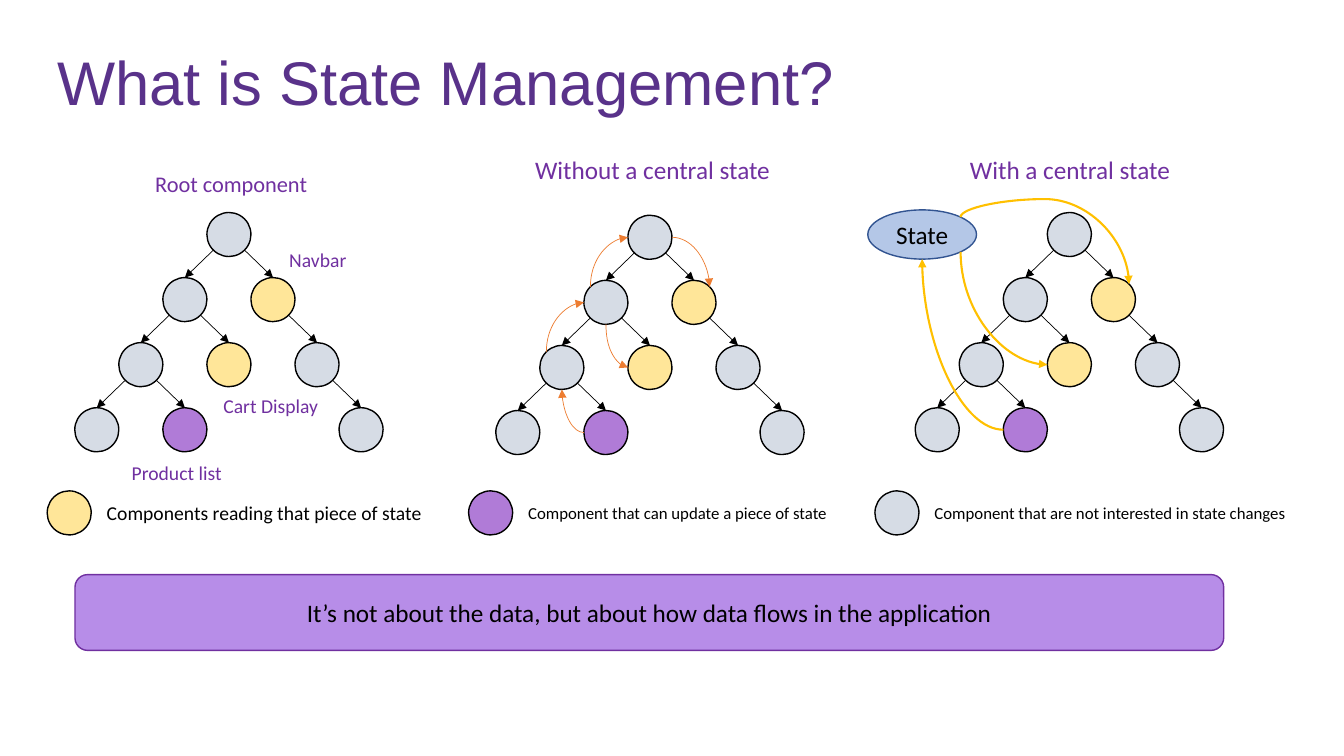
from dataclasses import dataclass

from lxml.etree import SubElement
from pptx import Presentation
from pptx.dml.color import RGBColor as Rgb
from pptx.enum.shapes import MSO_CONNECTOR as Link, MSO_SHAPE as Kind
from pptx.enum.text import MSO_ANCHOR as Anchor, MSO_AUTO_SIZE as Fit, PP_ALIGN as Align
from pptx.oxml.ns import qn
from pptx.util import Cm, Pt


@dataclass(frozen=True)
class Theme:
    title: str = "59328A"
    label: str = "7030A0"
    ink: str = "000000"
    idle: str = "D6DCE5"
    read: str = "FFE699"
    edit: str = "B07BD7"
    store: str = "B4C7E7"
    rim: str = "325491"
    bar: str = "B78DE8"
    hop: str = "ED7D31"
    flow: str = "FFC000"
    head: str = "Arial"
    body: str = "Calibri"
    huge: int = 44
    big: int = 18
    mid: int = 16
    base: int = 14
    small: int = 12


DOT = 1.11
STEP = 1.11
DROP = 1.64
DIAG = 0.707
TOP, LEFT, BASE, RIGHT = (0, -1), (-1, 0), (0, 1), (1, 0)
TL, TR, BR = (-DIAG, -DIAG), (DIAG, -DIAG), (DIAG, DIAG)

NODES = {
    "root": (0, 0, "idle"),
    "main": (-1, 1, "idle"),
    "nav": (1, 1, "read"),
    "cart": (0, 2, "read"),
    "shop": (-2, 2, "idle"),
    "side": (2, 2, "idle"),
    "list": (-1, 3, "edit"),
    "leaf": (-3, 3, "idle"),
    "end": (3, 3, "idle"),
}
EDGES = [
    ("root", "main"), ("root", "nav"), ("nav", "side"), ("main", "cart"),
    ("main", "shop"), ("shop", "leaf"), ("shop", "list"), ("side", "end"),
]


def write(frame, text, size, color, font, align=Align.LEFT, anchor=Anchor.TOP, space=None):
    frame.vertical_anchor = anchor
    para = frame.paragraphs[0]
    para.alignment = align
    para.line_spacing = space
    run = para.add_run()
    run.text = text
    run.font.size = Pt(size)
    run.font.name = font
    run.font.color.rgb = Rgb.from_string(color)


def spot(shape, side):
    return (
        int(shape.left + shape.width * (1 + side[0]) / 2),
        int(shape.top + shape.height * (1 + side[1]) / 2),
    )


class Board:
    def __init__(self, slide, theme):
        self.slide = slide
        self.theme = theme

    def text(self, text, x, y, w, h, wrap=True, fit=True, **style):
        frame = self.slide.shapes.add_textbox(Cm(x), Cm(y), Cm(w), Cm(h)).text_frame
        frame.word_wrap = wrap
        frame.auto_size = Fit.SHAPE_TO_FIT_TEXT if fit else Fit.NONE
        write(frame, text, **{"color": self.theme.ink, "font": self.theme.body, **style})

    def shape(self, kind, x, y, w, h, fill, line, text=None):
        item = self.slide.shapes.add_shape(kind, Cm(x), Cm(y), Cm(w), Cm(h))
        item.shadow.inherit = False
        item.fill.solid()
        item.fill.fore_color.rgb = Rgb.from_string(fill)
        item.line.color.rgb = Rgb.from_string(line)
        item.line.width = Pt(1)
        if text:
            write(item.text_frame, text, self.theme.big, self.theme.ink,
                  self.theme.body, Align.CENTER, Anchor.MIDDLE)
        return item

    def dot(self, x, y, role):
        return self.shape(Kind.OVAL, x, y, DOT, DOT, getattr(self.theme, role), self.theme.ink)

    def link(self, kind, start, end, color, width):
        item = self.slide.shapes.add_connector(kind, *start, *end)
        item.line.color.rgb = Rgb.from_string(color)
        item.line.width = Pt(width)
        props = item.element.find(qn("p:spPr"))
        SubElement(props.find(qn("a:ln")), qn("a:tailEnd"), type="triangle")
        SubElement(props, qn("a:effectLst"))
        return item

    def curve(self, start, end, color, width, turn=False, bend=None):
        if turn:
            (ax, ay), (bx, by) = start, end
            mx, my, dx, dy = (ax + bx) / 2, (ay + by) / 2, bx - ax, by - ay
            start = int(mx + dy / 2), int(my - dx / 2)
            end = int(mx - dy / 2), int(my + dx / 2)
        props = self.link(Link.CURVE, start, end, color, width).element.find(qn("p:spPr"))
        if turn:
            props.find(qn("a:xfrm")).set("rot", "16200000")
        geom = props.find(qn("a:prstGeom"))
        if bend is None:
            geom.set("prst", "curvedConnector2")
        else:
            SubElement(geom.find(qn("a:avLst")), qn("a:gd"), name="adj1", fmla=f"val {bend}")

    def tree(self, x, y):
        dots = {
            name: self.dot(x + col * STEP - DOT / 2, y + row * DROP - DOT / 2, role)
            for name, (col, row, role) in NODES.items()
        }
        for top, low in EDGES:
            side = DIAG if NODES[low][0] > NODES[top][0] else -DIAG
            start, end = spot(dots[top], (side, DIAG)), spot(dots[low], TOP)
            edge = self.link(Link.STRAIGHT, start, end, self.theme.ink, 0.5)
            edge.end_connect(dots[low], 0)
        return dots


def main():
    deck = Presentation()
    deck.slide_width, deck.slide_height = Cm(33.87), Cm(19.05)
    look = Theme()
    board = Board(deck.slides.add_slide(deck.slide_layouts[6]), look)

    board.text("What is State Management?", 1.19, 0.79, 31.14, 2.74, fit=False,
               size=look.huge, color=look.title, font=look.head,
               anchor=Anchor.MIDDLE, space=0.9)
    board.shape(Kind.ROUNDED_RECTANGLE, 1.89, 14.48, 28.95, 1.91, look.bar, look.label,
                "It’s not about the data, but about how data flows in the application")

    board.tree(5.77, 5.91)
    dots = board.tree(16.38, 5.98)
    for start, out, end, into, turn in [
        ("list", LEFT, "shop", BASE, False),
        ("shop", TL, "main", LEFT, True),
        ("main", TL, "root", LEFT, True),
        ("main", BASE, "cart", LEFT, True),
        ("root", RIGHT, "nav", TR, False),
    ]:
        board.curve(spot(dots[start], out), spot(dots[end], into), look.hop, 0.5, turn)

    dots = board.tree(26.95, 5.91)
    state = board.shape(Kind.FLOWCHART_CONNECTOR, 21.87, 5.29, 2.74, 1.24,
                        look.store, look.rim, "State")
    board.curve(spot(dots["list"], LEFT), spot(state, BASE), look.flow, 1.5)
    board.curve(spot(state, BR), spot(dots["cart"], LEFT), look.flow, 1.5, True)
    board.curve(spot(state, TR), spot(dots["nav"], TR), look.flow, 1.5, True, -27000)

    for role, x, w, size, text in [
        ("read", 1.19, 8.79, look.base, "Components reading that piece of state"),
        ("edit", 11.81, 8.18, look.small, "Component that can update a piece of state"),
        ("idle", 22.05, 9.55, look.small, "Component that are not interested in state changes"),
    ]:
        board.dot(x, 12.37, role)
        high = 0.86 if size == look.base else 0.76
        board.text(text, x + 1.25, 12.93 - high / 2, w, high, size=size)

    for text, x in [("Without a central state", 12.57), ("With a central state", 23.09)]:
        board.text(text, x, 3.76, 7.75, 1.02, size=look.big, color=look.label,
                   align=Align.CENTER)
    for text, x, y, w, h, size in [
        ("Root component", 3.66, 4.17, 4.39, 0.94, look.mid),
        ("Product list", 3.07, 11.48, 2.79, 0.86, look.base),
        ("Navbar", 7.04, 6.12, 1.98, 0.86, look.base),
    ]:
        board.text(text, x, y, w, h, wrap=False, size=size, color=look.label)
    board.text("Cart Display", 5.16, 9.8, 3.33, 0.86, size=look.base, color=look.label,
               align=Align.CENTER)

    deck.save("out.pptx")


if __name__ == "__main__":
    main()
